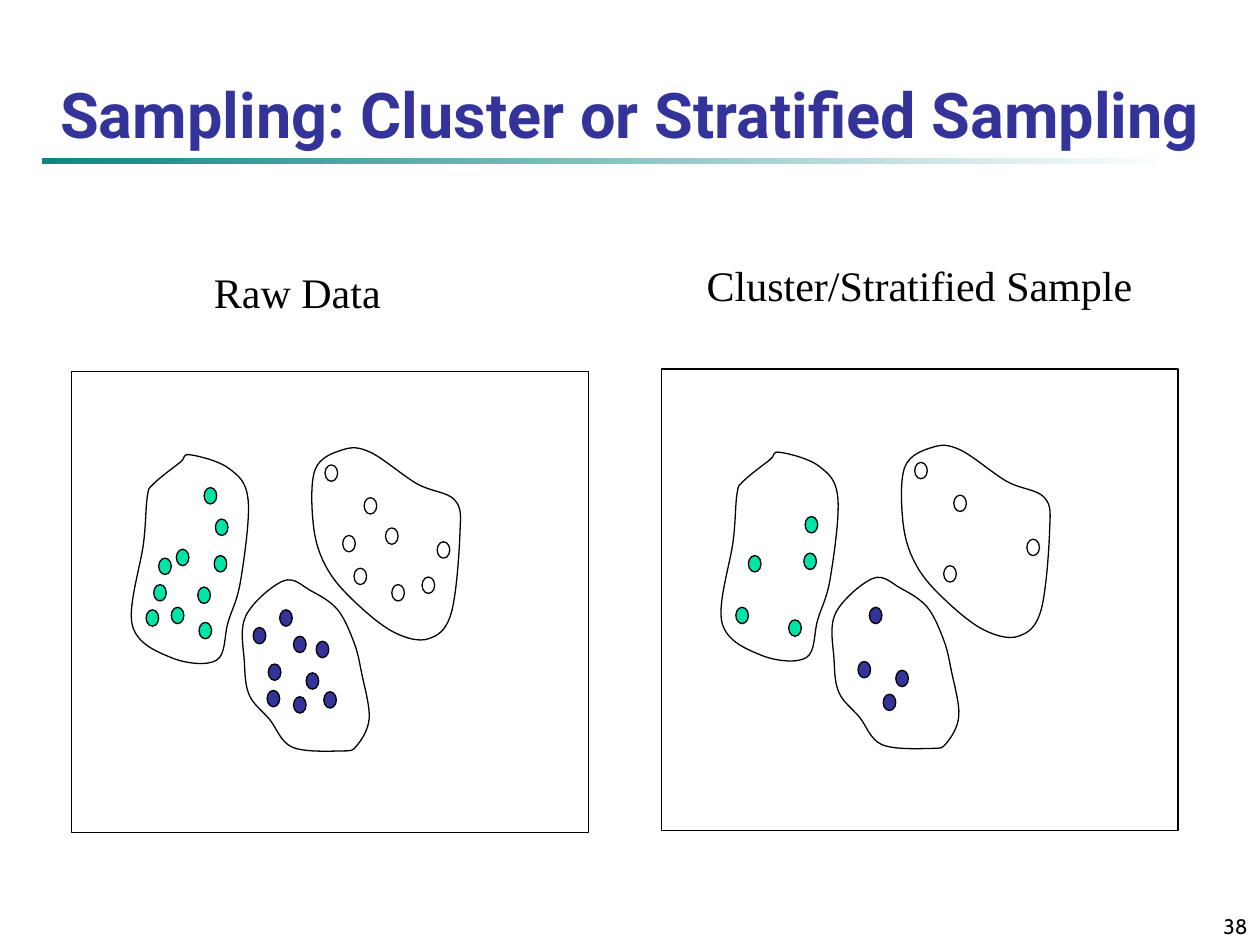
import dataclasses

import pptx
import pptx.dml.color
import pptx.enum.shapes
import pptx.enum.text
import pptx.oxml.ns
import pptx.util
from lxml import etree

Inches = pptx.util.Inches
RGBColor = pptx.dml.color.RGBColor
MSO_SHAPE = pptx.enum.shapes.MSO_SHAPE
ALIGN = pptx.enum.text.PP_ALIGN
ANCHOR = pptx.enum.text.MSO_ANCHOR
qn = pptx.oxml.ns.qn

BLACK = RGBColor(0x00, 0x00, 0x00)
WHITE = RGBColor(0xFF, 0xFF, 0xFF)
INDIGO = RGBColor(0x33, 0x33, 0x99)
GREEN = RGBColor(0x00, 0xE4, 0xA8)
TEAL = RGBColor(0x0D, 0x86, 0x86)

DOT_SIZE = (0.1, 0.13)
FRAME_SIZE = (4.1, 3.66)
FRAME_CORNER = (0.57, 2.95)
RAW_SHIFT = (0, 0)
SAMPLE_SHIFT = (4.68, -0.02)  # the sample panel is the raw panel moved by this


@dataclasses.dataclass
class Cluster:
    """Dots of one colour inside a smooth boundary, in raw panel positions."""
    color: RGBColor
    boundary: list  # turning points, clockwise
    sampled: list   # dots in both panels
    unsampled: list  # dots in the raw panel only


CLUSTERS = [
    Cluster(
        color=WHITE,
        boundary=[(3.61, 3.97), (3.65, 4.24), (3.58, 4.87), (3.4, 5.07),
                  (3.13, 5.02), (2.83, 4.79), (2.6, 4.52), (2.49, 4.19),
                  (2.5, 3.73), (2.72, 3.57), (2.94, 3.59), (3.31, 3.84)],
        sampled=[(2.89, 3.95), (2.81, 4.51), (3.47, 4.3), (2.58, 3.69)],
        unsampled=[(3.06, 4.19), (2.72, 4.25), (3.35, 4.58), (3.11, 4.64)]),
    Cluster(
        color=INDIGO,
        boundary=[(2.25, 4.61), (2.47, 4.69), (2.68, 4.84), (2.81, 5.1),
                  (2.87, 5.34), (2.93, 5.7), (2.83, 5.92), (2.71, 5.96),
                  (2.32, 5.93), (2.14, 5.71), (1.98, 5.52), (1.94, 5.26),
                  (1.95, 4.89)],
        sampled=[(2.33, 5.53), (2.43, 5.34), (2.13, 5.27), (2.22, 4.84)],
        unsampled=[(2.01, 4.98), (2.51, 5.09), (2.12, 5.48), (2.33, 5.05),
                   (2.57, 5.49)]),
    Cluster(
        color=GREEN,
        boundary=[(1.51, 3.61), (1.82, 3.72), (1.97, 3.97), (1.91, 4.61),
                  (1.81, 4.94), (1.72, 5.24), (1.36, 5.22), (1.05, 4.96),
                  (1.14, 4.31), (1.17, 3.94), (1.22, 3.84), (1.43, 3.67)],
        sampled=[(1.16, 4.84), (1.26, 4.43), (1.58, 4.94), (1.7, 4.41),
                 (1.71, 4.12)],
        unsampled=[(1.36, 4.82), (1.22, 4.64), (1.57, 4.66), (1.4, 4.36),
                   (1.62, 3.87)]),
]


def style(s, fill=None):
    """Thin black line, flat fill or none, no shadow."""
    s.shadow.inherit = False
    s.line.color.rgb = BLACK
    s.line.width = pptx.util.Pt(0.75)
    if fill is None:
        s.fill.background()
    else:
        s.fill.solid()
        s.fill.fore_color.rgb = fill


def add_preset(shapes, kind, pos, size, fill=None):
    s = shapes.add_shape(kind, *map(Inches, pos + size))
    style(s, fill)


def smooth_segments(points):
    """Closed Catmull-Rom spline: two Bezier handles and an end per segment.

    The tangent at each point is parallel to the line joining its neighbours.
    """
    count = len(points)
    for i in range(count):
        before, start, end, after = (points[(i + step) % count] for step in (-1, 0, 1, 2))
        leave = tuple(s + (e - b) / 6 for b, s, e in zip(before, start, end))
        arrive = tuple(e - (a - s) / 6 for s, e, a in zip(start, end, after))
        yield leave, arrive, end


def add_boundary(shapes, points):
    """Draw straight segments, then merge each three into one Bezier segment."""
    builder = shapes.build_freeform(*map(Inches, points[0]))
    for segment in smooth_segments(points):
        builder.add_line_segments([tuple(map(Inches, point)) for point in segment], close=False)
    builder.add_line_segments([], close=True)
    s = builder.convert_to_shape()
    style(s)
    lines = list(s._element.iter(qn("a:lnTo")))
    for i in range(0, len(lines), 3):
        curve = etree.Element(qn("a:cubicBezTo"))
        lines[i].addprevious(curve)
        for line in lines[i:i + 3]:
            curve.append(line[0])
            line.getparent().remove(line)


def add_panel(slide, shift, sample_only):
    """Frame with the three clusters, with all dots or only the sampled ones."""
    def moved(point):
        return point[0] + shift[0], point[1] + shift[1]

    shapes = slide.shapes.add_group_shape().shapes
    add_preset(shapes, MSO_SHAPE.RECTANGLE, moved(FRAME_CORNER), FRAME_SIZE)
    for cluster in CLUSTERS:
        dots = cluster.sampled if sample_only else cluster.sampled + cluster.unsampled
        for dot in dots:
            add_preset(shapes, MSO_SHAPE.FLOWCHART_CONNECTOR, moved(dot), DOT_SIZE,
                       cluster.color)
        add_boundary(shapes, [moved(point) for point in cluster.boundary])


def add_text(slide, box, text, font, size, color=BLACK, bold=False,
             align=ALIGN.LEFT, anchor=ANCHOR.TOP, wrap=True):
    tf = slide.shapes.add_textbox(*map(Inches, box)).text_frame
    tf.word_wrap = wrap
    tf.vertical_anchor = anchor
    p = tf.paragraphs[0]
    p.alignment = align
    r = p.add_run()
    r.text = text
    r.font.name = font
    r.font.size = pptx.util.Pt(size)
    r.font.bold = bold
    r.font.color.rgb = color


def add_panel_heading(slide, box, text):
    add_text(slide, box, text, "Times New Roman", 24, wrap=False)


def add_title_rule(slide):
    s = slide.shapes.add_shape(MSO_SHAPE.RECTANGLE, *map(Inches, (0.33, 1.25, 9, 0.05)))
    s.shadow.inherit = False
    s.line.fill.background()
    s.fill.gradient()
    s.fill.gradient_angle = 0
    for stop, position, color in zip(s.fill.gradient_stops, (0, 1), (TEAL, WHITE)):
        stop.position = position
        stop.color.rgb = color


def main():
    prs = pptx.Presentation()
    prs.slide_width, prs.slide_height = Inches(10), Inches(7.5)
    slide = prs.slides.add_slide(prs.slide_layouts[6])
    add_title_rule(slide)
    add_text(slide, (7.92, 7.08, 2.08, 0.42), "38", "Cabin", 12,
             align=ALIGN.RIGHT, anchor=ANCHOR.BOTTOM)
    add_text(slide, (0.25, 0.33, 9.5, 0.92), "Sampling: Cluster or Stratified Sampling",
             "Roboto", 36, INDIGO, bold=True, align=ALIGN.CENTER, anchor=ANCHOR.BOTTOM)
    add_panel(slide, RAW_SHIFT, sample_only=False)
    add_panel(slide, SAMPLE_SHIFT, sample_only=True)
    add_panel_heading(slide, (1.6, 2.07, 1.6, 0.5), "Raw Data")
    add_panel_heading(slide, (5.51, 2.01, 3.58, 0.5), "Cluster/Stratified Sample")
    prs.save("out.pptx")


if __name__ == "__main__":
    main()
